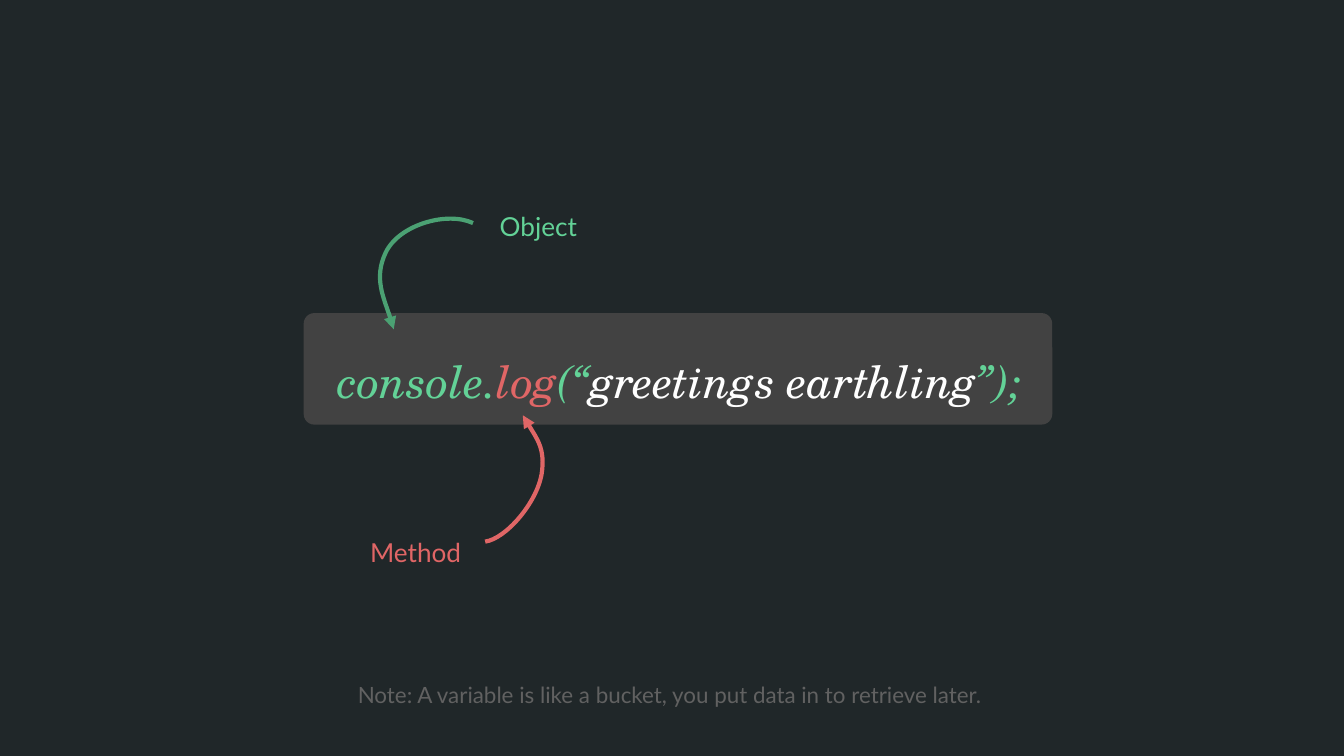
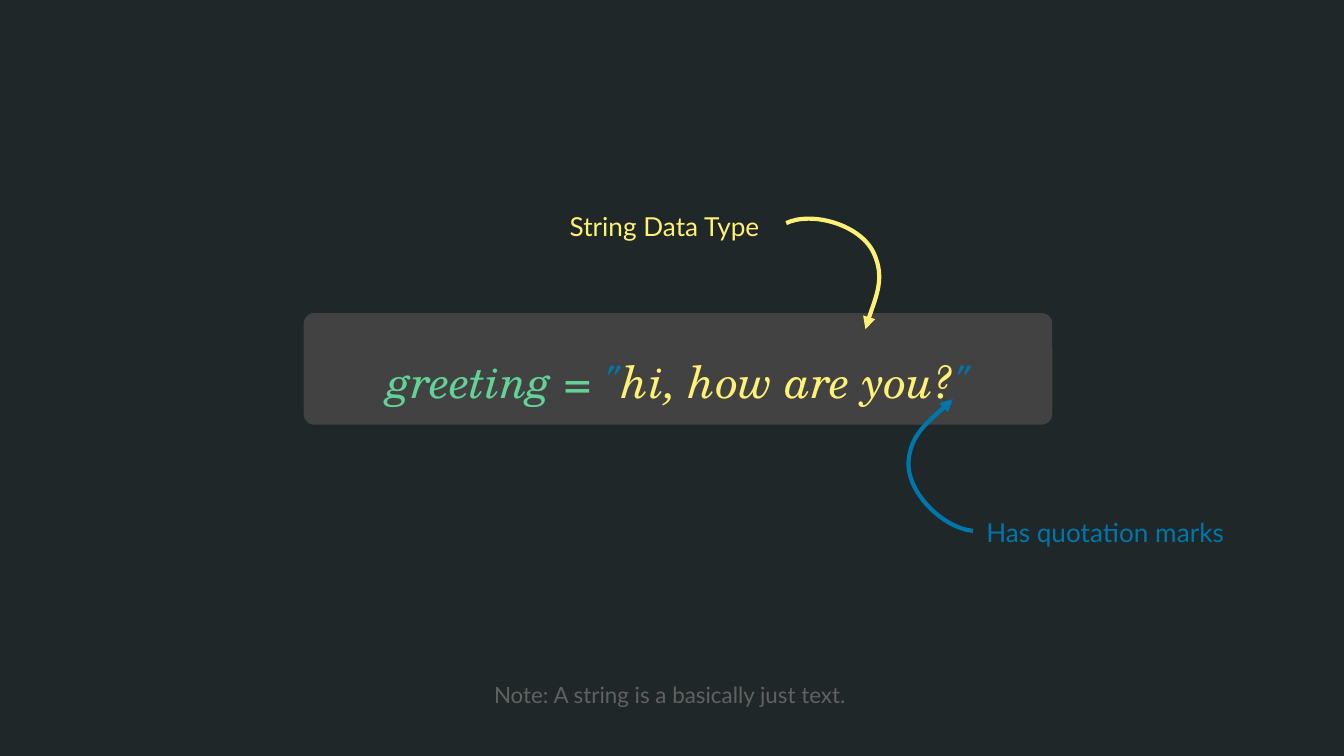
import lxml.etree
import pptx
import pptx.dml.color
import pptx.enum.shapes
import pptx.enum.text
import pptx.oxml.ns
import pptx.util

Inches = pptx.util.Inches
ALIGN = pptx.enum.text.PP_ALIGN
ANCHOR = pptx.enum.text.MSO_ANCHOR

COLORS = {
    "background": "202729",
    "panel": "424242",
    "note": "616161",
    "green": "63D297",
    "dark_green": "4BA173",
    "red": "E06666",
    "yellow": "FFF176",
    "blue": "0077AA",
    "white": "FFFFFF",
}
TEXT_FONT = "Lato"
CODE_FONT = "TeX Gyre Schola"

PANEL_BOX = (2.26, 2.33, 5.57, 0.83)
CODE_BOX = (0.54, 0.58, 9.03, 4.45)
NOTE_BOX = (0.4, 4.94, 9.17, 0.44)

HOOK_LEFT = [(-0.05, -0.18), (-0.15, -0.38), (-0.06, -0.57),
             (0.04, -0.78), (0.4, -0.88), (0.59, -0.79)]
HOOK_RIGHT = [(-x, y) for x, y in HOOK_LEFT]
SWING_LEFT = [(0.07, 0.12), (0.17, 0.25), (0.14, 0.44),
              (0.1, 0.66), (-0.13, 0.92), (-0.28, 0.94)]
SWING_RIGHT = [(-0.14, 0.13), (-0.32, 0.27), (-0.33, 0.47),
               (-0.34, 0.7), (-0.07, 0.96), (0.15, 0.98)]

SLIDES = [
    {
        "code": [("console.", "green"), ("log", "red"), ("(“", "green"),
                 ("greetings earthling", "white"), ("”);", "green")],
        "note": "Note: A variable is like a bucket, you put data in to retrieve later.",
        "callouts": [
            ("Object", (3.62, 1.43, 3.34, 0.62), ALIGN.LEFT, "green",
             (2.93, 2.45), HOOK_LEFT, "dark_green"),
            ("Method", (1.41, 3.86, 2.12, 0.44), ALIGN.RIGHT, "red",
             (3.89, 3.09), SWING_LEFT, "red"),
        ],
    },
    {
        "code": [("greeting = ", "green"), ('"', "blue"),
                 ("hi, how are you?", "yellow"), ('"', "blue")],
        "note": "Note: A string is a basically just text.",
        "callouts": [
            ("String Data Type", (3.75, 1.43, 2, 0.51), ALIGN.RIGHT, "yellow",
             (6.44, 2.45), HOOK_RIGHT, "yellow"),
            ("Has quotation marks", (7.24, 3.71, 2, 0.51), ALIGN.LEFT, "blue",
             (7.09, 2.97), SWING_RIGHT, "blue"),
        ],
    },
]


def rgb(name):
    """Return the named colour."""
    return pptx.dml.color.RGBColor.from_string(COLORS[name])


def add_text(page, box, align, size, font_name, anchor=ANCHOR.TOP):
    """Add a text box and return its styled, empty paragraph."""
    frame = page.shapes.add_textbox(*map(Inches, box)).text_frame
    frame.word_wrap = True
    frame.vertical_anchor = anchor
    frame.margin_left = frame.margin_right = Inches(0.1)
    frame.margin_top = frame.margin_bottom = Inches(0.1)
    para = frame.paragraphs[0]
    para.alignment = align
    para.line_spacing = 1.15
    para.font.size = pptx.util.Pt(size)
    para.font.name = font_name
    return para


def add_label(page, box, text, align, size, color):
    """Add one line of plain text in a single colour."""
    para = add_text(page, box, align, size, TEXT_FONT)
    para.font.color.rgb = rgb(color)
    para.add_run().text = text


def add_panel(page, box):
    """Add the rounded panel behind the code."""
    panel = page.shapes.add_shape(
        pptx.enum.shapes.MSO_SHAPE.ROUNDED_RECTANGLE, *map(Inches, box))
    panel.adjustments[0] = 0.095
    panel.shadow.inherit = False
    panel.fill.solid()
    panel.fill.fore_color.rgb = rgb("panel")
    panel.line.fill.background()


def add_code(page, box, pieces):
    """Add the line of code with a colour for each piece."""
    para = add_text(page, box, ALIGN.CENTER, 24, CODE_FONT, ANCHOR.MIDDLE)
    para.font.italic = True
    for text, color in pieces:
        span = para.add_run()
        span.text = text
        span.font.color.rgb = rgb(color)


def add_curved_arrow(page, tip, offsets, color):
    """Draw a Bezier arrow from its tip through offsets relative to that tip."""
    qn = pptx.oxml.ns.qn
    points = [(Inches(tip[0] + x), Inches(tip[1] + y)) for x, y in offsets]
    builder = page.shapes.build_freeform(Inches(tip[0]), Inches(tip[1]))
    builder.add_line_segments(points, close=False)
    arrow = builder.convert_to_shape()
    arrow.shadow.inherit = False
    arrow.fill.background()
    arrow.line.color.rgb = rgb(color)
    arrow.line.width = pptx.util.Pt(2.25)
    outline = arrow.element.spPr.find(qn("a:ln"))
    lxml.etree.SubElement(outline, qn("a:headEnd"), type="triangle")

    track = next(arrow.element.iter(qn("a:path")))
    segments = track.findall(qn("a:lnTo"))
    for start in range(0, len(segments), 3):
        curve = lxml.etree.SubElement(track, qn("a:cubicBezTo"))
        for segment in segments[start:start + 3]:
            curve.append(segment[0])
            track.remove(segment)


def add_callout(page, text, box, align, color, tip, offsets, arrow_color):
    """Add a label and the arrow that leads from it to the code."""
    add_curved_arrow(page, tip, offsets, arrow_color)
    add_label(page, box, text, align, 14, color)


def add_code_slide(deck, content):
    """Add a slide that explains one line of code."""
    page = deck.slides.add_slide(deck.slide_layouts[6])
    page.background.fill.solid()
    page.background.fill.fore_color.rgb = rgb("background")
    add_panel(page, PANEL_BOX)
    add_code(page, CODE_BOX, content["code"])
    for callout in content["callouts"]:
        add_callout(page, *callout)
    add_label(page, NOTE_BOX, content["note"], ALIGN.CENTER, 12, "note")


def main():
    """Build and save the deck."""
    deck = pptx.Presentation()
    deck.slide_width = Inches(10)
    deck.slide_height = deck.slide_width * 9 // 16
    for content in SLIDES:
        add_code_slide(deck, content)
    deck.save("out.pptx")


if __name__ == "__main__":
    main()
